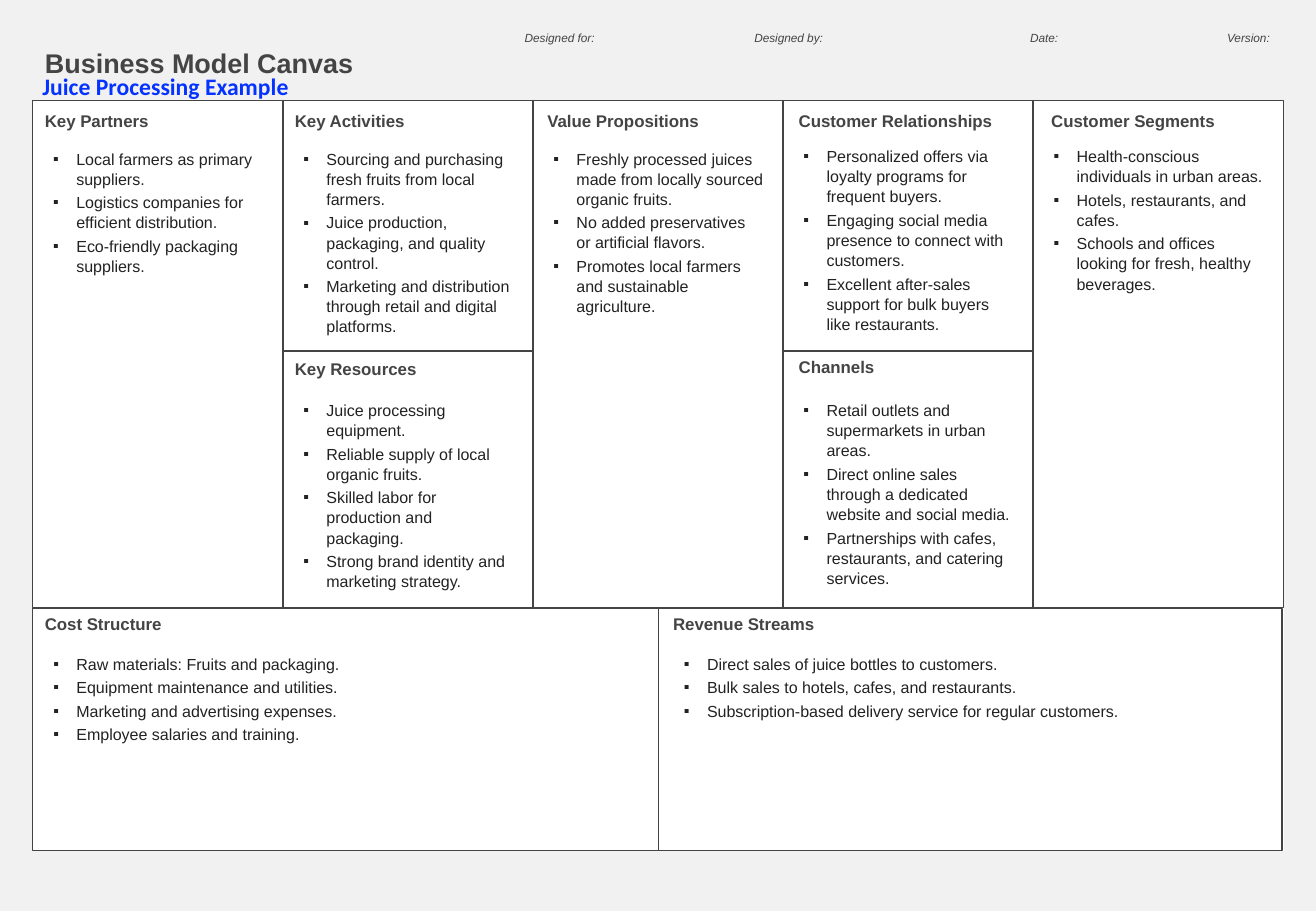
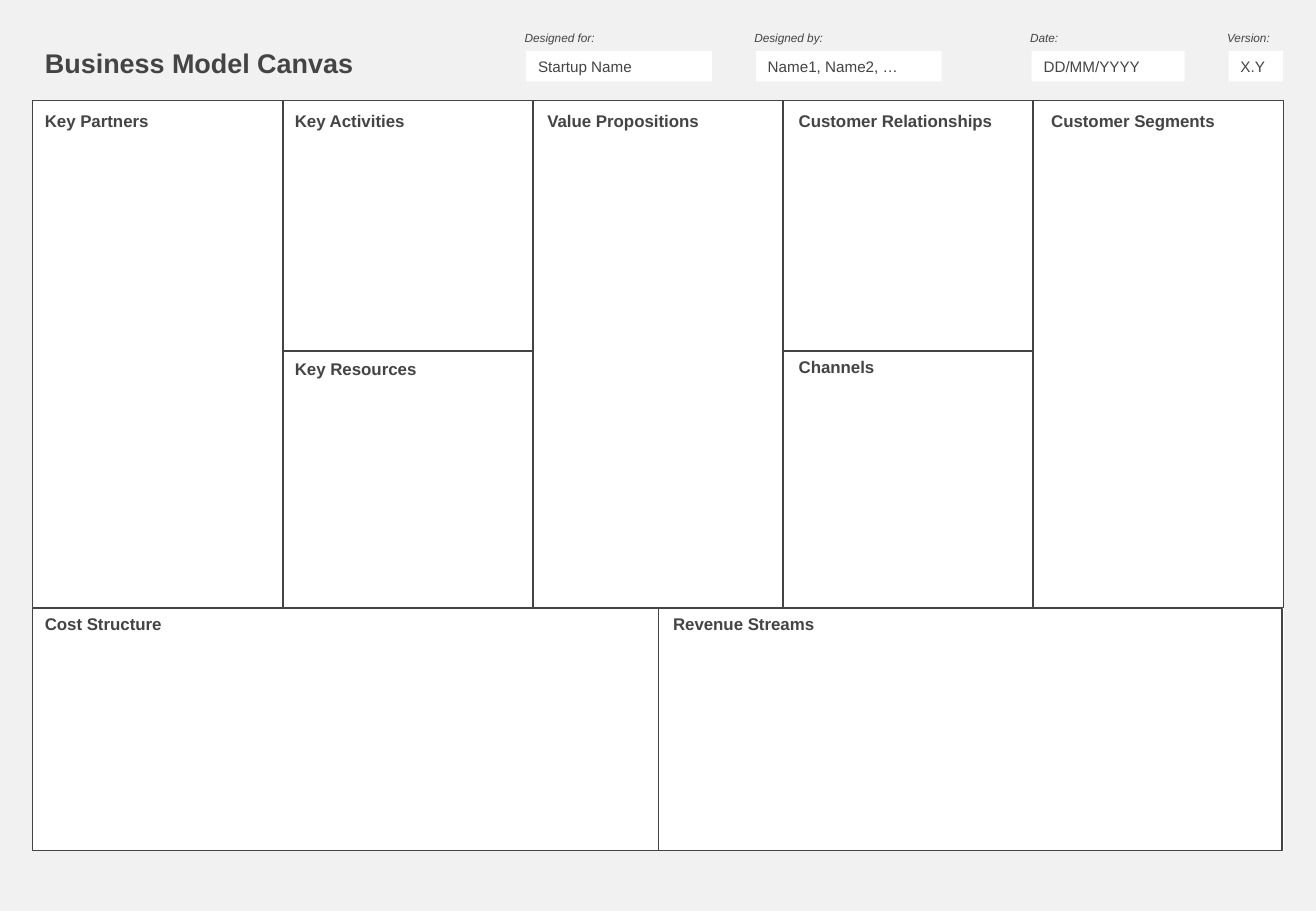
from dataclasses import dataclass

from lxml import etree
from pptx import Presentation
from pptx.dml.color import RGBColor
from pptx.enum.shapes import MSO_SHAPE
from pptx.enum.text import MSO_ANCHOR, MSO_AUTO_SIZE, PP_ALIGN
from pptx.oxml.ns import qn
from pptx.util import Inches, Pt

RECT = MSO_SHAPE.RECTANGLE
TOP, MIDDLE = MSO_ANCHOR.TOP, MSO_ANCHOR.MIDDLE
LEFT = PP_ALIGN.LEFT
FIXED = MSO_AUTO_SIZE.NONE

COLORS = {"back": "F1F1F1", "panel": "FFFFFF", "ink": "444444",
          "body": "222222", "accent": "0432FF"}

# Canvas grid, in inches
X0, Y0, WIDE, HIGH = 0.27, 0.83, 10.29, 6.17
COL = WIDE / 5
SPLIT, BASE, END = 2.89, 5.0, 7.0
COST = 5.15
PAD = 0.07


@dataclass(frozen=True)
class Cell:
    name: str
    x: float
    y: float
    w: float
    h: float
    shift: float  # heading offset from the left edge
    head: float  # heading top
    top: float  # list top
    items: tuple[str, ...]
    pad: float = PAD


@dataclass(frozen=True)
class Field:
    name: str
    value: str
    x: float
    w: float  # label width
    box: float  # value width


def col(index: int) -> float:
    return X0 + COL * index


CELLS = (
    Cell("Key Partners", col(0), Y0, COL, BASE - Y0, 0, 0.86, 1.17, (
        "Local farmers as primary suppliers.",
        "Logistics companies for efficient distribution.",
        "Eco-friendly packaging suppliers.")),
    Cell("Key Activities", col(1), Y0, COL, SPLIT - Y0, 0, 0.86, 1.17, (
        "Sourcing and purchasing fresh fruits from local farmers.",
        "Juice production, packaging, and quality control.",
        "Marketing and distribution through retail and digital platforms.")),
    Cell("Key Resources", col(1), SPLIT, COL, BASE - SPLIT, 0, 2.9, 3.24, (
        "Juice processing equipment.",
        "Reliable supply of local organic fruits.",
        "Skilled labor for production and packaging.",
        "Strong brand identity and marketing strategy.")),
    Cell("Value Propositions", col(2), Y0, COL, BASE - Y0, 0.02, 0.86, 1.17, (
        "Freshly processed juices made from locally sourced organic fruits.",
        "No added preservatives or artificial flavors.",
        "Promotes local farmers and sustainable agriculture.")),
    Cell("Customer Relationships", col(3), Y0, COL, SPLIT - Y0, 0.03, 0.86, 1.15, (
        "Personalized offers via loyalty programs for frequent buyers.",
        "Engaging social media presence to connect with customers.",
        "Excellent after-sales support for bulk buyers like restaurants.")),
    Cell("Channels", col(3), SPLIT, COL, BASE - SPLIT, 0.03, 2.89, 3.24, (
        "Retail outlets and supermarkets in urban areas.",
        "Direct online sales through a dedicated website and social media.",
        "Partnerships with cafes, restaurants, and catering services.")),
    Cell("Customer Segments", col(4), Y0, COL, BASE - Y0, 0.05, 0.86, 1.15, (
        "Health-conscious individuals in urban areas.",
        "Hotels, restaurants, and cafes.",
        "Schools and offices looking for fresh, healthy beverages.")),
    Cell("Cost Structure", X0, BASE + 0.01, COST, END - BASE - 0.01, 0, 5, 5.33, (
        "Raw materials: Fruits and packaging.",
        "Equipment maintenance and utilities.",
        "Marketing and advertising expenses.",
        "Employee salaries and training.")),
    Cell("Revenue Streams", X0 + COST, BASE + 0.01, WIDE - COST - 0.01,
         END - BASE - 0.01, 0.02, 5, 5.33, (
             "Direct sales of juice bottles to customers.",
             "Bulk sales to hotels, cafes, and restaurants.",
             "Subscription-based delivery service for regular customers."),
         pad=0.11),
)

FIELDS = (
    Field("Designed for:", "Startup Name", 4.22, 1.53, 1.53),
    Field("Designed by:", "Name1, Name2, …", 6.11, 1.53, 1.53),
    Field("Date:", "DD/MM/YYYY", 8.38, 1.33, 1.26),
    Field("Version:", "X.Y", 10.0, 0.68, 0.45),
)


def paint(fill, color: str) -> None:
    fill.solid()
    fill.fore_color.rgb = RGBColor.from_string(COLORS[color])


def rect(slide, x: float, y: float, w: float, h: float,
         fill: str = "", line: str = ""):
    shape = slide.shapes.add_shape(RECT, Inches(x), Inches(y), Inches(w), Inches(h))
    shape.shadow.inherit = False
    if fill:
        paint(shape.fill, fill)
    else:
        shape.fill.background()
    if line:
        paint(shape.line.fill, line)
        shape.line.width = Pt(0.75)
    else:
        shape.line.fill.background()
    return shape


def box(slide, x: float, y: float, w: float, h: float):
    return slide.shapes.add_textbox(Inches(x), Inches(y), Inches(w), Inches(h))


def write(shape, *lines: str, size: float, color: str = "ink", font: str = "Arial",
          bold: bool = False, italic: bool = False, anchor=TOP,
          bullet: bool = False) -> None:
    frame = shape.text_frame
    frame.word_wrap = True
    frame.auto_size = FIXED
    frame.vertical_anchor = anchor
    frame.margin_left = Inches(0.1)
    frame.margin_right = Inches(0.09)
    frame.margin_top = frame.margin_bottom = Inches(0.05)
    for index, line in enumerate(lines):
        para = frame.add_paragraph() if index else frame.paragraphs[0]
        para.alignment = LEFT
        run = para.add_run()
        run.text = line
        run.font.name, run.font.size = font, Pt(size)
        run.font.bold, run.font.italic = bold, italic
        run.font.color.rgb = RGBColor.from_string(COLORS[color])
        if bullet:
            para.line_spacing = 1.05
            para.space_before = Pt(size * 0.2)
            mark(para)


def mark(para) -> None:
    props = para._p.get_or_add_pPr()
    props.set("marL", str(Inches(0.19)))
    props.set("indent", str(-Inches(0.19)))
    etree.SubElement(props, qn("a:buFont")).set("typeface", "Arial")
    etree.SubElement(props, qn("a:buChar")).set("char", "▪")


def canvas(deck):
    """Add a slide with the parts that both slides share."""
    slide = deck.slides.add_slide(deck.slide_layouts[5])
    title = slide.shapes.title
    title.left, title.top = Inches(X0), Inches(0.33)
    title.width, title.height = Inches(2.81), Inches(0.37)
    write(title, "Business Model Canvas", size=16, bold=True, anchor=MIDDLE)

    rect(slide, X0, Y0, WIDE, HIGH, fill="panel", line="panel")
    for field in FIELDS:
        write(box(slide, field.x, 0.2, field.w, 0.22), field.name,
              size=7, italic=True)
    for cell in CELLS:
        rect(slide, cell.x, cell.y, cell.w, cell.h, line="ink")
        write(box(slide, cell.x + cell.shift, cell.head, 1.91, 0.27), cell.name,
              size=10, bold=True)
    return slide


def main() -> None:
    deck = Presentation()
    deck.slide_width, deck.slide_height = Inches(10.83), Inches(7.5)
    paint(deck.slide_master.background.fill, "back")

    # Worked example
    slide = canvas(deck)
    for cell in CELLS:
        panel = rect(slide, cell.x + cell.pad, cell.top, cell.w - cell.pad - PAD,
                     cell.y + cell.h - cell.top - PAD, fill="panel")
        write(panel, *cell.items, size=9.5, color="body", bullet=True)
    write(box(slide, 0.25, 0.54, 2.75, 0.34), "Juice Processing Example",
          size=14, color="accent", font="Calibri", bold=True)

    # Blank form
    slide = canvas(deck)
    for field in FIELDS:
        write(rect(slide, field.x + 0.11, 0.42, field.box, 0.25, fill="panel"),
              field.value, size=9, anchor=MIDDLE)

    deck.save("out.pptx")


if __name__ == "__main__":
    main()
